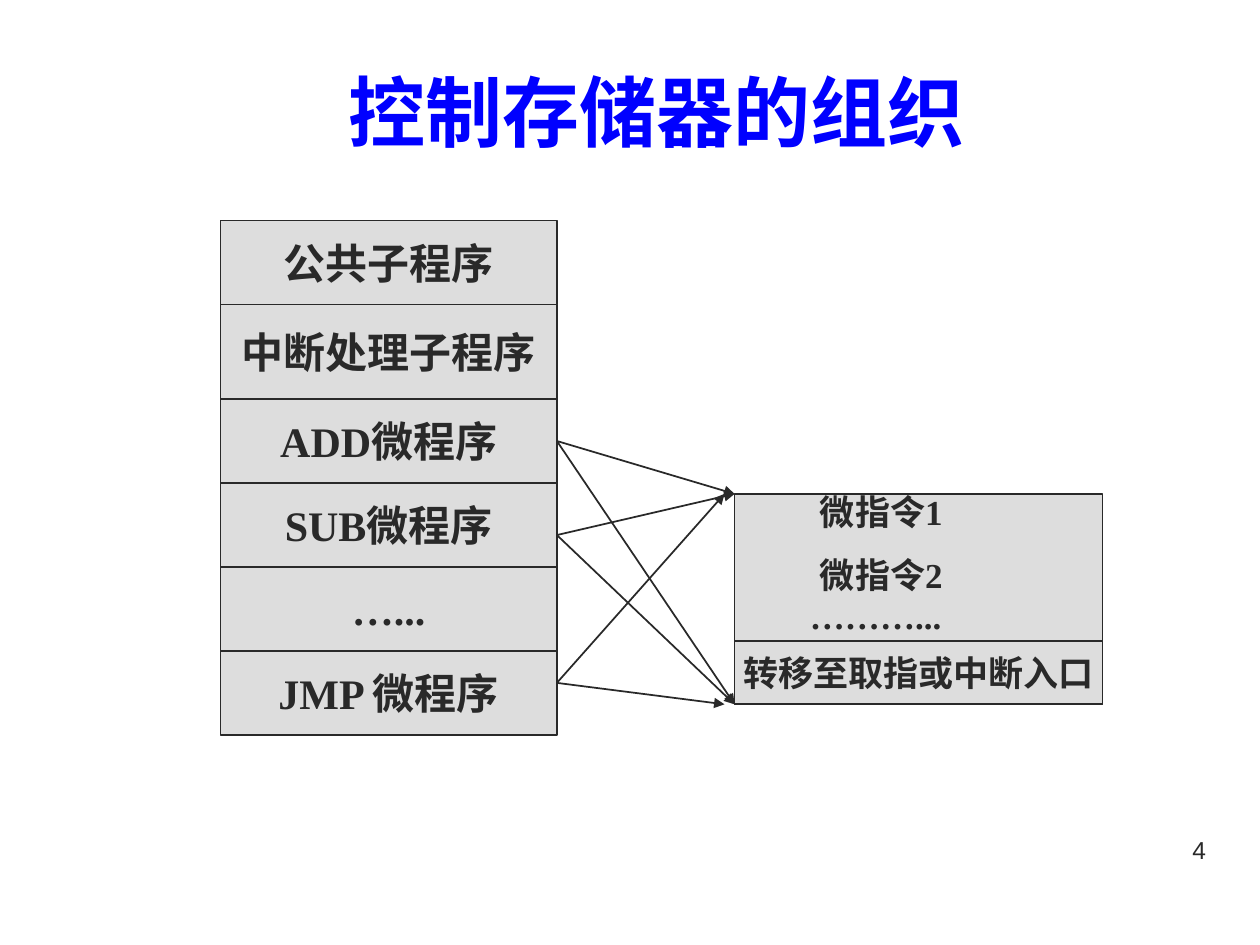
import pptx
import pptx.dml.color
import pptx.enum.shapes
import pptx.enum.text
import pptx.oxml
import pptx.oxml.ns
import pptx.util

Inches = pptx.util.Inches
Pt = pptx.util.Pt
RGBColor = pptx.dml.color.RGBColor
ALIGN = pptx.enum.text.PP_ALIGN
ANCHOR = pptx.enum.text.MSO_ANCHOR

INK = RGBColor(0x29, 0x29, 0x29)
GRAY = RGBColor(0xDD, 0xDD, 0xDD)
BLUE = RGBColor(0x00, 0x00, 0xFF)

TITLE = {"name": "Arial", "size": Pt(44), "bold": True}
PAGE = {"name": "Arial", "size": Pt(14), "bold": False}
ROW = {"name": "Times New Roman", "size": Pt(24), "bold": True}
STEP = {**ROW, "size": Pt(20)}


def write(shape, lines, style, color=INK, align=ALIGN.CENTER,
          anchor=ANCHOR.MIDDLE, wrap=True):
    frame = shape.text_frame
    frame.word_wrap = wrap
    frame.vertical_anchor = anchor
    frame.text = "\n".join(lines)
    for i, para in enumerate(frame.paragraphs):
        para.alignment = align
        para.space_before = Pt(12.5 if i else 0)
        for key, value in style.items():
            setattr(para.font, key, value)
        para.font.color.rgb = color


def add_text(slide, box, lines, style, **opts):
    write(slide.shapes.add_textbox(*box), lines, style, **opts)


def add_cell(slide, box, label="", style=ROW):
    cell = slide.shapes.add_shape(
        pptx.enum.shapes.MSO_SHAPE.RECTANGLE, *box)
    cell.shadow.inherit = False
    cell.fill.solid()
    cell.fill.fore_color.rgb = GRAY
    cell.line.color.rgb = INK
    cell.line.width = Pt(1)
    if label:
        write(cell, [label], style, wrap=False)
    return cell


def add_arrow(slide, start, end):
    arrow = slide.shapes.add_connector(
        pptx.enum.shapes.MSO_CONNECTOR.STRAIGHT, *start, *end)
    arrow.line.color.rgb = INK
    arrow.line.width = Pt(1)
    space = pptx.oxml.ns.nsdecls("a")
    line = arrow.line._get_or_add_ln()
    line.append(pptx.oxml.parse_xml(f'<a:tailEnd {space} type="triangle"/>'))
    props = arrow._element.spPr
    props.append(pptx.oxml.parse_xml(f"<a:effectLst {space}/>"))
    return arrow


def add_store(slide, left, top, width):
    """Stack the program rows and return them by label."""
    low, high = Inches(2 / 3), Inches(0.75)
    rows = {}
    for label, height in (("公共子程序", low), ("中断处理子程序", high),
                          ("ADD微程序", low), ("SUB微程序", low),
                          ("…...", low), ("JMP 微程序", low)):
        rows[label] = add_cell(slide, (left, top, width, height), label)
        top += height
    return rows


def add_steps(slide, left, top, width, height):
    """Box of microinstructions with the jump row at its foot."""
    foot = Inches(0.5)
    add_cell(slide, (left, top, width, height))
    add_cell(slide, (left, top + height - foot, width, foot),
             "转移至取指或中断入口", STEP)
    opts = {"align": ALIGN.LEFT, "anchor": ANCHOR.TOP}
    add_text(slide, (left + Inches(0.58), top - Inches(0.08),
                     Inches(1.5), Inches(0.94)),
             ["微指令1", "微指令2"], STEP, **opts)
    add_text(slide, (left + Inches(0.5), top + Inches(0.75),
                     Inches(2.25), Inches(0.42)),
             ["………..."], STEP, **opts)


def add_links(slide, rows, left, top, height):
    """Two arrows from each program to the ends of the step box."""
    for label, drop, gap in (("ADD微程序", 0, 0), ("SUB微程序", 0.08, 0),
                             ("JMP 微程序", -0.08, 0.08)):
        row = rows[label]
        start = (row.left + row.width,
                 row.top + row.height // 2 + Inches(drop))
        for y in (top, top + height):
            arrow = add_arrow(slide, start, (left - Inches(gap), y))
            if not drop:
                arrow.begin_connect(row, 3)


def main():
    deck = pptx.Presentation()
    deck.slide_width, deck.slide_height = Inches(10), Inches(7.5)
    slide = deck.slides.add_slide(deck.slide_layouts[6])

    # Title and page number
    add_text(slide, (Inches(0.75), Inches(0.25), Inches(8.92), Inches(1.25)),
             ["控制存储器的组织"], TITLE, color=BLUE)
    add_text(slide, (Inches(7.17), Inches(6.58), Inches(2.5), Inches(0.52)),
             ["4"], PAGE, align=ALIGN.RIGHT, anchor=ANCHOR.TOP)

    # Control store, microinstructions and the arrows between them
    rows = add_store(slide, Inches(1.75), Inches(1.75), Inches(2.67))
    left, top, height = Inches(5.83), Inches(3.92), Inches(1.67)
    add_steps(slide, left, top, Inches(2.92), height)
    add_links(slide, rows, left, top, height)

    deck.save("out.pptx")


if __name__ == "__main__":
    main()
